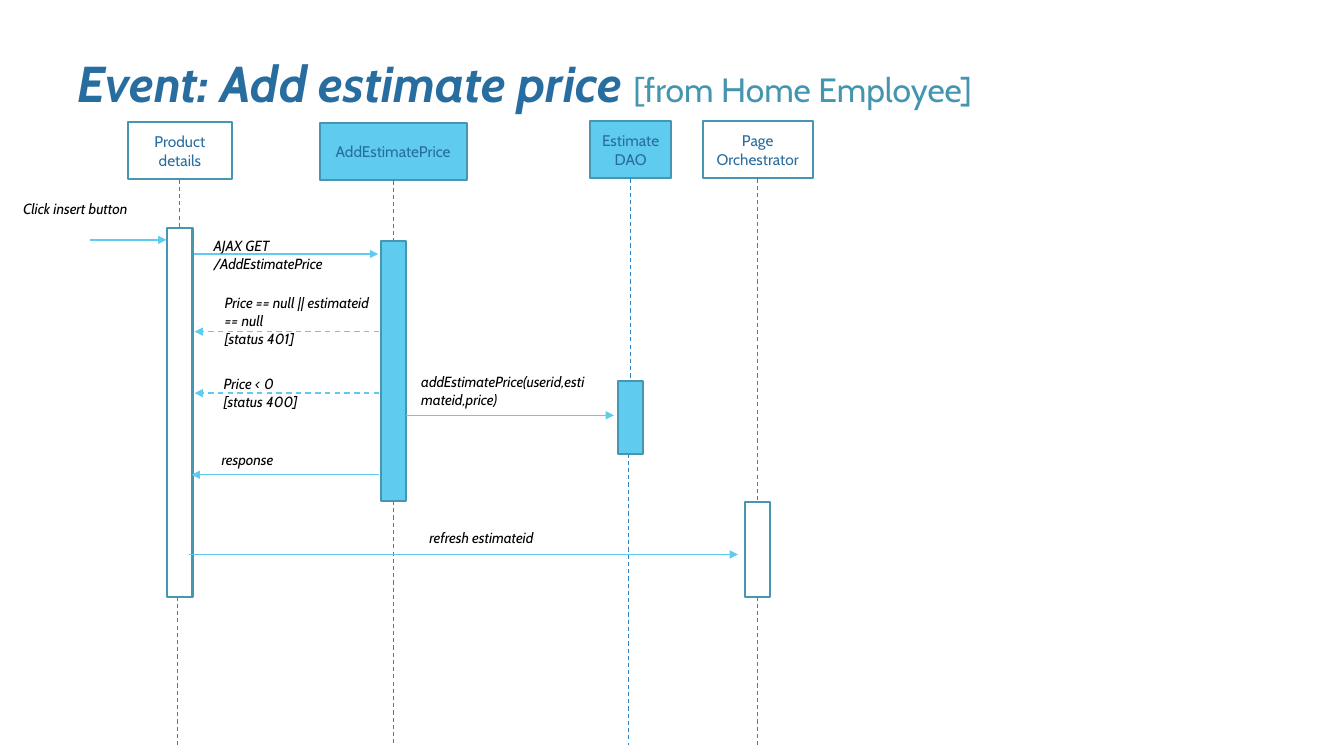
"""Builds the sequence diagram slide for the add estimate price event."""
from lxml import etree
from pptx import Presentation
from pptx.dml.color import RGBColor
from pptx.enum.dml import MSO_LINE
from pptx.enum.shapes import MSO_CONNECTOR, MSO_SHAPE
from pptx.enum.text import MSO_ANCHOR, PP_ALIGN
from pptx.oxml.ns import qn
from pptx.util import Inches, Pt

STRAIGHT = MSO_CONNECTOR.STRAIGHT
RECTANGLE = MSO_SHAPE.RECTANGLE
DASH = MSO_LINE.DASH
LEFT, CENTER = PP_ALIGN.LEFT, PP_ALIGN.CENTER
TOP, MIDDLE = MSO_ANCHOR.TOP, MSO_ANCHOR.MIDDLE

FONT = "Cabin"
NAVY = RGBColor(0x28, 0x6D, 0x9F)
TEAL = RGBColor(0x44, 0x95, 0xB0)
BORDER = RGBColor(0x46, 0x96, 0xB1)
SKY = RGBColor(0x5F, 0xCB, 0xEF)
LIFELINE = RGBColor(0x2E, 0x83, 0xC3)
BLACK = RGBColor(0, 0, 0)

HEADER_HEIGHT = 0.57
BAR_WIDTH = 0.25

# Lane box, name, fill, bar offset, bar height, shift of the lower lifeline
PARTICIPANTS = [
    ((1.27, 1.21, 1.03, 6.21), "Product details", None, 1.05, 3.66, -0.02),
    ((3.17, 1.22, 1.46, 6.17), "AddEstimatePrice", SKY, 1.17, 2.58, 0),
    ((5.85, 1.2, 0.81, 6.19), "Estimate\nDAO", SKY, 2.58, 0.72, -0.02),
    ((6.97, 1.2, 1.09, 6.22), "Page Orchestrator", None, 3.78, 0.94, 0),
]

# Label box, label, arrow start and end from the box left, arrow drop, dashed
MESSAGES = [
    ((0.13, 1.93, 1.25, 0.45), "Click insert button", 0.76, 1.52, 0.45, False),
    ((2.02, 2.3, 2.37, 0.45), "AJAX GET \v/AddEstimatePrice",
     -0.1, 1.73, 0.22, False),
    ((2.13, 2.87, 1.66, 0.81),
     "Price == null || estimateid == null\v[status 401]",
     1.63, -0.2, 0.42, True),
    ((2.12, 3.67, 1.34, 0.45), "Price < 0\v[status 400]",
     1.64, -0.19, 0.23, True),
    ((4.08, 3.65, 1.84, 0.45), "addEstimatePrice(userid,estimateid,price)",
     -0.05, 2.01, 0.47, False),
    ((2.1, 4.42, 0.93, 0.28), "response", 1.66, -0.2, 0.29, False),
    ((4.16, 5.2, 2.09, 0.28), "refresh estimateid", -2.29, 3.16, 0.3, False),
]


def style_span(span, size, color, bold=False, italic=False):
    """Set the font of one run."""
    span.font.name = FONT
    span.font.size = Pt(size)
    span.font.color.rgb = color
    span.font.bold = bold
    span.font.italic = italic


def write_text(shape, text, size, color, italic=False, align=LEFT, anchor=TOP):
    """Fill a shape with text in one format."""
    frame = shape.text_frame
    frame.word_wrap = True
    frame.vertical_anchor = anchor
    frame.text = text
    for para in frame.paragraphs:
        para.alignment = align
        for span in para.runs:
            style_span(span, size, color, italic=italic)


def add_line(page, start, end, color, width, dashed=False, arrow=False):
    """Draw a straight line between two points."""
    line = page.shapes.add_connector(
        STRAIGHT, *(Inches(value) for value in (*start, *end)))
    line.line.color.rgb = color
    line.line.width = Pt(width)
    if dashed:
        line.line.dash_style = DASH
    if arrow:
        etree.SubElement(line.line._get_or_add_ln(), qn("a:tailEnd"),
                         type="triangle")
    etree.SubElement(line._element.spPr, qn("a:effectLst"))


def add_box(page, box, fill):
    """Draw a bordered rectangle, filled or open."""
    shape = page.shapes.add_shape(RECTANGLE, *map(Inches, box))
    shape.shadow.inherit = False
    if fill is None:
        shape.fill.background()
    else:
        shape.fill.solid()
        shape.fill.fore_color.rgb = fill
    shape.line.color.rgb = BORDER
    shape.line.width = Pt(1.5)
    return shape


def add_participant(page, box, name, fill, bar_offset, bar_height, shift):
    """Draw a lane: header, activation bar and the lifeline around it."""
    left, top, width, height = box
    middle = left + width / 2
    bar_top = top + bar_offset
    bar_bottom = bar_top + bar_height
    header = add_box(page, (left, top, width, HEADER_HEIGHT), fill)
    write_text(header, name, 11, NAVY, align=CENTER, anchor=MIDDLE)
    add_line(page, (middle, top + HEADER_HEIGHT), (middle, bar_top),
             LIFELINE, 0.75, dashed=True)
    add_line(page, (middle + shift, bar_bottom),
             (middle + shift, top + height), LIFELINE, 0.75, dashed=True)
    add_box(page, (middle - BAR_WIDTH / 2, bar_top, BAR_WIDTH, bar_height),
            fill)


def add_message(page, box, text, start, end, drop, dashed):
    """Draw a message arrow and its label."""
    left, top = box[:2]
    add_line(page, (left + start, top + drop), (left + end, top + drop),
             SKY, 1, dashed=dashed, arrow=True)
    label = page.shapes.add_textbox(*map(Inches, box))
    write_text(label, text, 10.5, BLACK, italic=True)


def add_title(page, box):
    """Place the title and its lighter origin note."""
    title = page.shapes.title
    title.left, title.top, title.width, title.height = map(Inches, box)
    frame = title.text_frame
    frame.word_wrap = True
    frame.vertical_anchor = MIDDLE
    para = frame.paragraphs[0]
    para.alignment = LEFT
    event, origin = para.add_run(), para.add_run()
    event.text = "Event: Add estimate price "
    origin.text = "[from Home Employee]"
    style_span(event, 36, NAVY, bold=True, italic=True)
    style_span(origin, 24, TEAL)


def main():
    """Build and save the deck."""
    deck = Presentation()
    deck.slide_width, deck.slide_height = Inches(13.33), Inches(7.5)
    page = deck.slides.add_slide(deck.slide_layouts[5])
    add_title(page, (0.67, 0.45, 11.79, 0.74))
    for participant in PARTICIPANTS:
        add_participant(page, *participant)
    for message in MESSAGES:
        add_message(page, *message)
    deck.save("out.pptx")


main()
